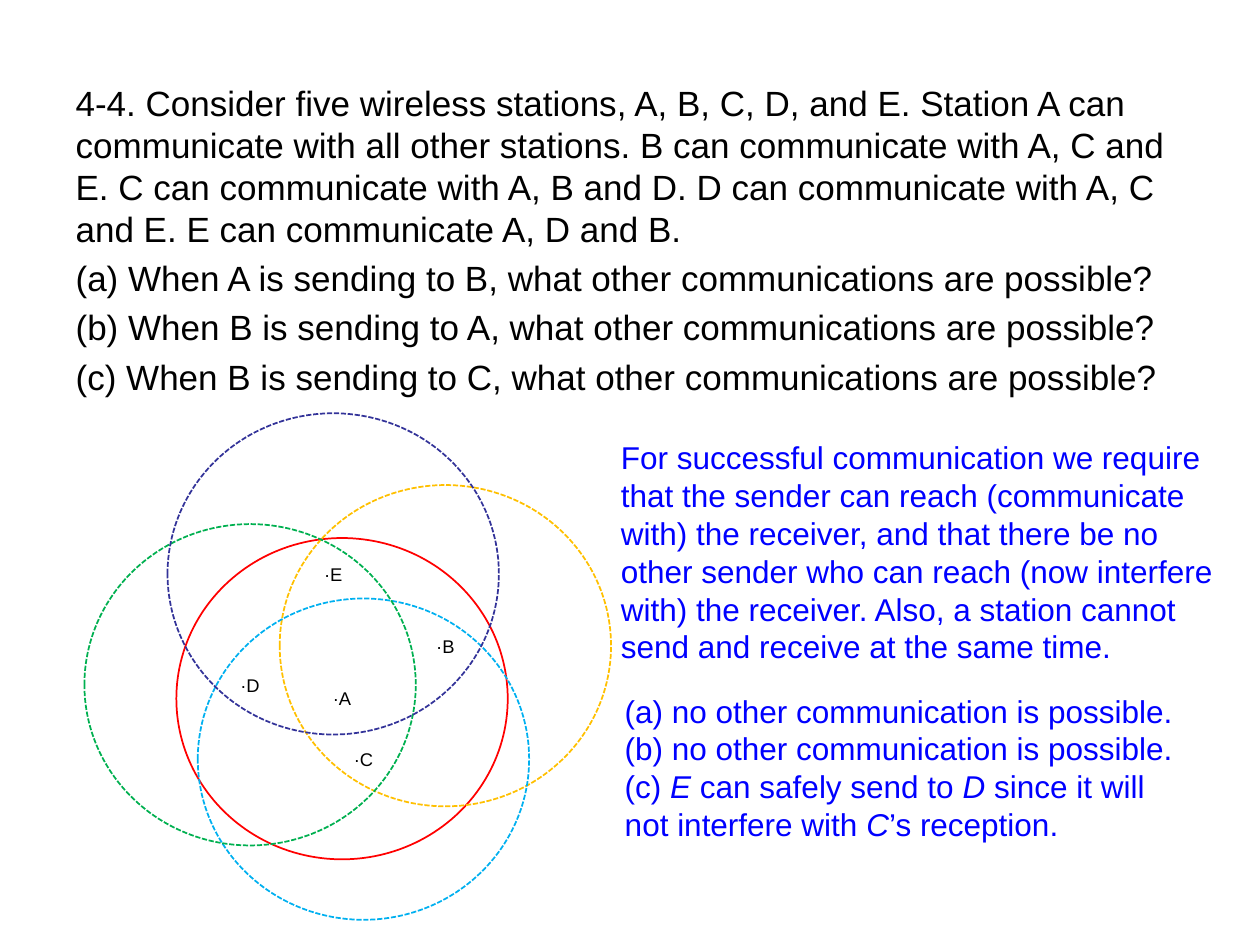
from dataclasses import dataclass

from lxml.etree import SubElement as Sub
from pptx import Presentation
from pptx.dml.color import RGBColor as Rgb
from pptx.enum.dml import MSO_LINE as Dash
from pptx.enum.shapes import MSO_SHAPE as Kind
from pptx.enum.text import MSO_ANCHOR as Anchor, MSO_AUTO_SIZE as Fit, PP_ALIGN as Align
from pptx.oxml.ns import qn
from pptx.util import Inches, Pt


@dataclass(frozen=True)
class Theme:
    font: str = "Arial"
    ink: str = "000000"
    reply: str = "0000FF"
    red: str = "FF0000"
    gold: str = "FFC000"
    sky: str = "00B0F0"
    green: str = "00B050"
    navy: str = "333399"
    body: float = 20
    note: float = 18
    mark: float = 10.5


def write(para, text, *, font, size, color, align=None, before=0):
    para.alignment = align
    para.space_before = Pt(before)
    for i, part in enumerate(text.split("*")):
        if part:
            run = para.add_run()
            run.text = part
            run.font.name = font
            run.font.size = Pt(size)
            run.font.italic = bool(i % 2)
            run.font.color.rgb = Rgb.from_string(color)


class Deck:
    """Hold the theme and the slide, and draw each kind of element."""

    def __init__(self, theme):
        self.theme = theme
        self.prs = Presentation()
        self.prs.slide_width, self.prs.slide_height = Inches(10), Inches(7.5)
        self.slide = self.prs.slides.add_slide(self.prs.slide_layouts[1])
        title = self.slide.shapes.title.element
        title.getparent().remove(title)

    def fill(self, frame, lines, **style):
        frame.word_wrap = True
        for i, line in enumerate(lines):
            para = frame.add_paragraph() if i else frame.paragraphs[0]
            write(para, line, font=self.theme.font, **style)

    def body(self, x, y, w, h, lines):
        box = self.slide.placeholders[1]
        box.left, box.top, box.width, box.height = map(Inches, (x, y, w, h))
        frame = box.text_frame
        frame.auto_size = Fit.NONE
        self.fill(frame, lines, size=self.theme.body, color=self.theme.ink, before=4)
        for para in frame.paragraphs:
            props = para._p.get_or_add_pPr()
            props.set("marL", "0")
            props.set("indent", "0")
            Sub(props, qn("a:buNone"))

    def note(self, x, y, w, h, lines):
        box = self.slide.shapes.add_textbox(*map(Inches, (x, y, w, h)))
        self.fill(box.text_frame, lines, size=self.theme.note, color=self.theme.reply)
        box.text_frame.auto_size = Fit.SHAPE_TO_FIT_TEXT

    def rings(self, w, h, items):
        group = self.slide.shapes.add_group_shape()
        for name, x, y, color, dash in items:
            ring = group.shapes.add_shape(Kind.OVAL, *map(Inches, (x, y, w, h)))
            ring.shadow.inherit = False
            ring.fill.background()
            ring.line.color.rgb = Rgb.from_string(color)
            ring.line.width = Pt(1)
            ring.line.dash_style = dash
            ring.text_frame.vertical_anchor = Anchor.MIDDLE
            self.fill(ring.text_frame, ["·" + name], size=self.theme.mark,
                      color=self.theme.ink, align=Align.CENTER)


def main():
    look = Theme()
    deck = Deck(look)
    asks = (("a", "A", "B"), ("b", "B", "A"), ("c", "B", "C"))
    deck.body(0.5, 0.6, 9, 6.06, [
        "4-4. Consider five wireless stations, A, B, C, D, and E. Station A can "
        "communicate with all other stations. B can communicate with A, C and E. "
        "C can communicate with A, B and D. D can communicate with A, C and E. "
        "E can communicate A, D and B.",
        *(f"({key}) When {src} is sending to {dst}, what other communications are possible?"
          for key, src, dst in asks),
    ])
    dots = Dash.SQUARE_DOT
    deck.rings(2.63, 2.55, [
        ("A", 1.4, 4.27, look.red, Dash.SOLID),
        ("B", 2.22, 3.85, look.gold, dots),
        ("C", 1.57, 4.75, look.sky, dots),
        ("D", 0.67, 4.16, look.green, dots),
        ("E", 1.33, 3.28, look.navy, dots),
    ])
    deck.note(4.83, 3.43, 5, 1.92, [
        "For successful communication we require that the sender can reach "
        "(communicate with) the receiver, and that there be no other sender who can "
        "reach (now interfere with) the receiver. Also, a station cannot send and "
        "receive at the same time.",
    ])
    deck.note(4.86, 5.44, 4.71, 1.31, [
        "(a) no other communication is possible.",
        "(b) no other communication is possible.",
        "(c) *E *can safely send to *D *since it will not interfere with *C*’s reception.",
    ])
    deck.prs.save("out.pptx")


if __name__ == "__main__":
    main()
